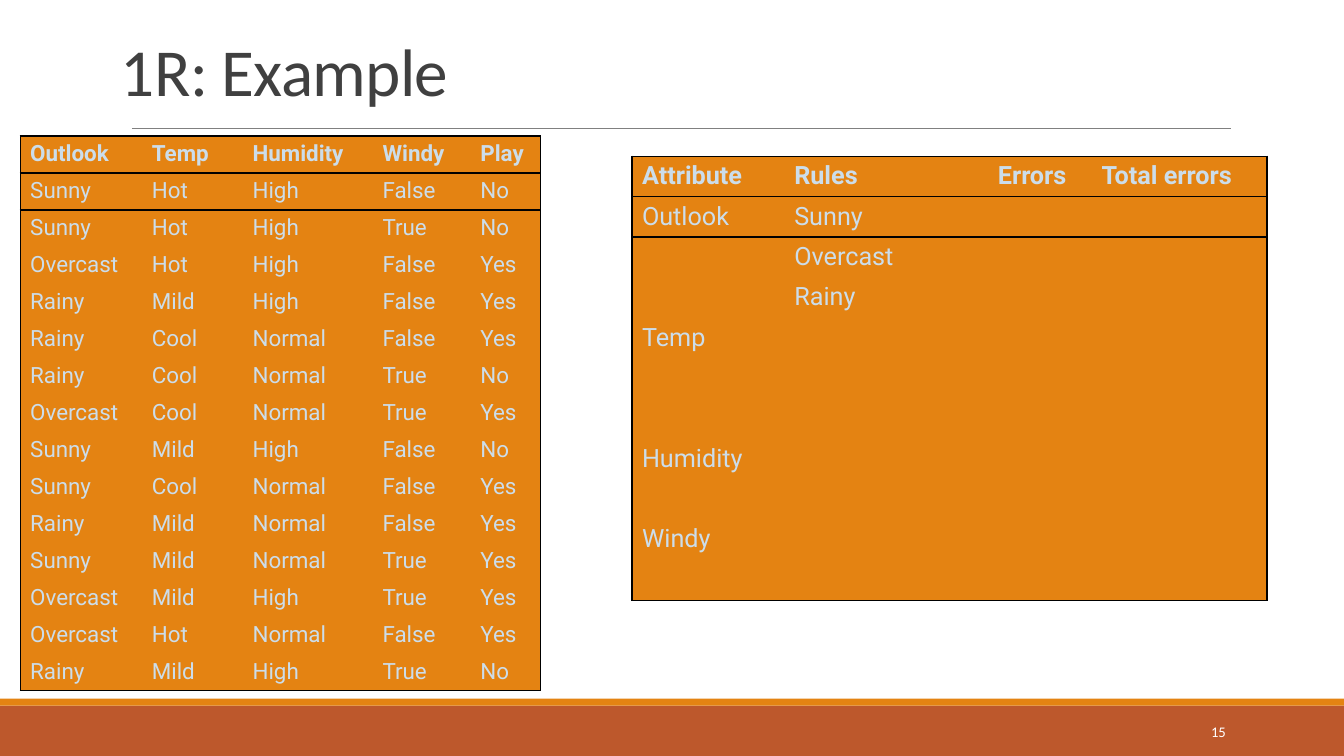
from lxml import etree
from pptx import Presentation
from pptx import util as u
from pptx.dml import color
from pptx.enum import shapes, text
from pptx.oxml import ns

HUES = {"rust": "BD582C", "gold": "E48312", "rule": "808080", "ink": "404040",
        "pale": "CCDDEA", "edge": "000000", "white": "FFFFFF"}
PLAIN = "{2D5ABB26-0587-4C30-8999-92F81FD0307C}"

DAYS = """Outlook Temp Humidity Windy Play
Sunny Hot High False No
Sunny Hot High True No
Overcast Hot High False Yes
Rainy Mild High False Yes
Rainy Cool Normal False Yes
Rainy Cool Normal True No
Overcast Cool Normal True Yes
Sunny Mild High False No
Sunny Cool Normal False Yes
Rainy Mild Normal False Yes
Sunny Mild Normal True Yes
Overcast Mild High True Yes
Overcast Hot Normal False Yes
Rainy Mild High True No"""

RULES = [["Attribute", "Rules", "Errors", "Total errors"],
         ["Outlook", "Sunny"], ["", "Overcast"], ["", "Rainy"],
         ["Temp"], [], [], ["Humidity"], [], ["Windy"], []]


class Deck:
    def __init__(self, wide, high):
        self.prs = Presentation()
        self.prs.slide_width = u.Inches(wide)
        self.prs.slide_height = u.Inches(high)
        self.slide = self.prs.slides.add_slide(self.prs.slide_layouts[5])

    def x(self, share):
        return round(self.prs.slide_width * share / 100)

    def y(self, share):
        return round(self.prs.slide_height * share / 100)

    def box(self, left, top, wide, high):
        return self.x(left), self.y(top), self.x(wide), self.y(high)

    def hue(self, name):
        return color.RGBColor.from_string(HUES[name])

    def run(self, para, words, size, hue, face="Calibri", bold=False):
        run = para.add_run()
        run.text = words
        font = run.font
        font.size, font.name, font.bold = u.Pt(size), face, bold
        font.color.rgb = self.hue(hue)
        return run

    def title(self, words, *area):
        head = self.slide.shapes.title
        head.left, head.top, head.width, head.height = self.box(*area)
        frame = head.text_frame
        frame.word_wrap = True
        frame.auto_size = text.MSO_AUTO_SIZE.NONE
        frame.vertical_anchor = text.MSO_ANCHOR.BOTTOM
        para = frame.paragraphs[0]
        para.alignment = text.PP_ALIGN.LEFT
        para.line_spacing = 0.85
        run = self.run(para, words, 48, "ink")
        run.font._element.set("spc", "-50")

    def band(self, hue, *area):
        band = self.slide.shapes.add_shape(
            shapes.MSO_SHAPE.RECTANGLE, *self.box(*area))
        band.shadow.inherit = False
        band.fill.solid()
        band.fill.fore_color.rgb = self.hue(hue)
        band.line.fill.background()

    def rule(self, start, end, level):
        rule = self.slide.shapes.add_connector(
            shapes.MSO_CONNECTOR.STRAIGHT,
            self.x(start), self.y(level), self.x(end), self.y(level))
        rule.line.width = u.Pt(0.5)
        rule.line.color.rgb = self.hue("rule")
        etree.SubElement(rule._element.spPr, ns.qn("a:effectLst"))

    def label(self, words, *area):
        frame = self.slide.shapes.add_textbox(*self.box(*area)).text_frame
        frame.word_wrap = True
        frame.vertical_anchor = text.MSO_ANCHOR.MIDDLE
        para = frame.paragraphs[0]
        para.alignment = text.PP_ALIGN.RIGHT
        self.run(para, words, 10.5, "white")

    def edge(self, cell, sides):
        props = cell._tc.get_or_add_tcPr()
        for side in sides:
            line = etree.SubElement(props, ns.qn("a:ln" + side), w="12700")
            fill = etree.SubElement(line, ns.qn("a:solidFill"))
            etree.SubElement(fill, ns.qn("a:srgbClr"), val=HUES["edge"])

    def table(self, rows, left, top, cols, step, size):
        area = self.box(left, top, sum(cols), step * len(rows))
        grid = self.slide.shapes.add_table(len(rows), len(cols), *area).table
        grid._tbl.tblPr[0].text = PLAIN
        grid.horz_banding = False
        for col, wide in zip(grid.columns, cols):
            col.width = self.x(wide)
        for i, row in enumerate(rows):
            for j in range(len(cols)):
                cell = grid.cell(i, j)
                bounds = {"L": j == 0, "R": j == len(cols) - 1,
                          "T": i < 2, "B": i in (0, len(rows) - 1)}
                self.edge(cell, [side for side in bounds if bounds[side]])
                cell.fill.solid()
                cell.fill.fore_color.rgb = self.hue("gold")
                para = cell.text_frame.paragraphs[0]
                if j < len(row) and row[j]:
                    self.run(para, row[j], size, "pale", "Roboto", i == 0)
                else:
                    end = para._p.get_or_add_endParaRPr()
                    end.set("sz", str(size * 100))
                    etree.SubElement(end, ns.qn("a:latin"), typeface="Roboto")


def main():
    deck = Deck(13.33, 7.5)
    deck.band("rust", 0, 93.33, 100, 6.67)
    deck.band("gold", 0, 92.4, 100, 0.93)
    deck.rule(9.82, 91.6, 17)
    deck.title("1R: Example", 8.25, 0.8, 82.5, 14.4)
    deck.label("15", 81.23, 94.13, 10.72, 5.33)
    days = [line.split() for line in DAYS.splitlines()]
    deck.table(days, 1.5, 18, [9.05, 7.5, 9.67, 7.28, 5.25], 4.77, 16)
    deck.table(RULES, 47.02, 20.67, [11.33, 15.15, 7.72, 13.05], 5.25, 18)
    deck.prs.save("out.pptx")


if __name__ == "__main__":
    main()
